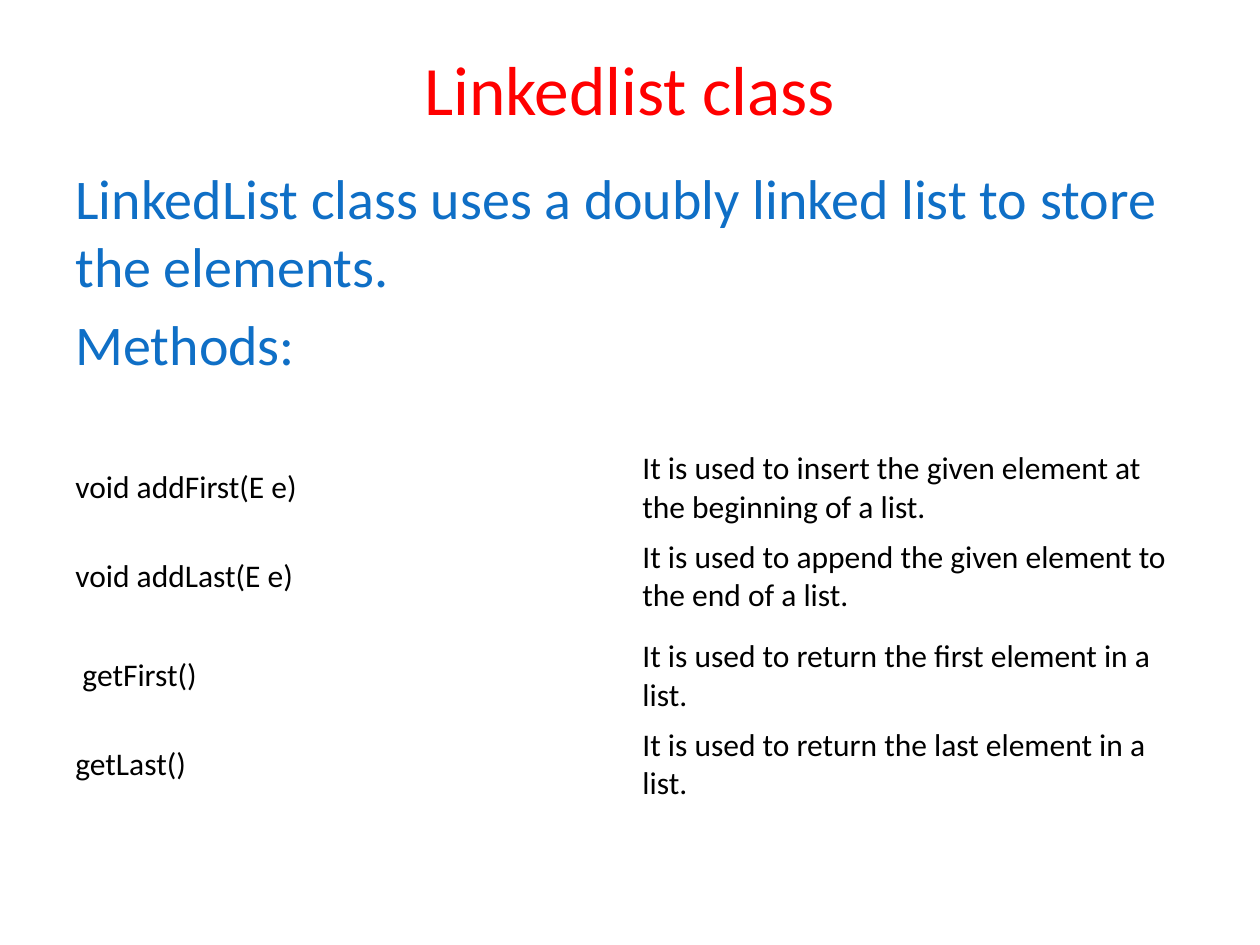
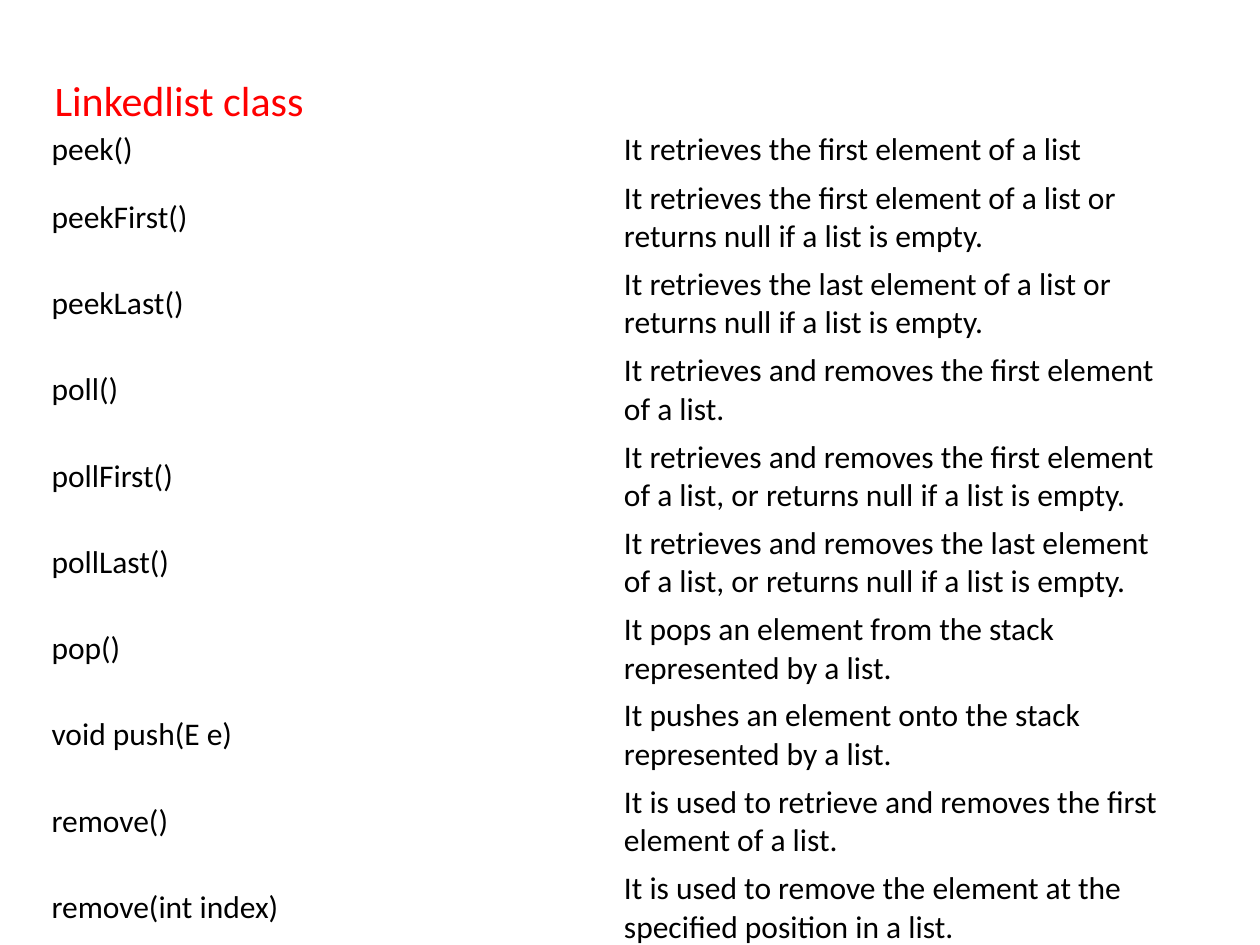
from pptx import Presentation
from pptx.dml.color import RGBColor
from pptx.enum.text import MSO_ANCHOR, PP_ALIGN
from pptx.util import Cm, Pt

FONT = "Calibri"
RED = RGBColor(0xFF, 0x00, 0x00)
BLUE = RGBColor(0x0F, 0x6F, 0xC6)
BLACK = RGBColor(0x00, 0x00, 0x00)
TITLE = "Linkedlist class"

INTRODUCTION = [
    "LinkedList class uses a doubly linked list to store the elements.",
    "Methods:",
]
ADD_METHODS = [
    ("void addFirst(E e)", "It is used to insert the given element at the beginning of a list."),
    ("void addLast(E e)", "It is used to append the given element to the end of a list."),
]
GET_METHODS = [
    (" getFirst()", "It is used to return the first element in a list."),
    ("getLast()", "It is used to return the last element in a list."),
]
QUEUE_METHODS = [
    ("peek()", "It retrieves the first element of a list"),
    ("peekFirst()", "It retrieves the first element of a list or returns null if a list is empty."),
    ("peekLast()", "It retrieves the last element of a list or returns null if a list is empty."),
    ("poll()", "It retrieves and removes the first element of a list."),
    ("pollFirst()", "It retrieves and removes the first element of a list, or returns null if a list is empty."),
    ("pollLast()", "It retrieves and removes the last element of a list, or returns null if a list is empty."),
    ("pop()", "It pops an element from the stack represented by a list."),
    ("void push(E e)", "It pushes an element onto the stack represented by a list."),
    ("remove()", "It is used to retrieve and removes the first element of a list."),
    ("remove(int index)", "It is used to remove the element at the specified position in a list."),
]


def style_paragraph(para, size, color):
    for span in para.runs:
        span.font.name = FONT
        span.font.size = Pt(size)
        span.font.color.rgb = color


def add_text(page, lines, left, top, width, height, size, color,
             align=PP_ALIGN.LEFT, anchor=MSO_ANCHOR.TOP, space_before=0):
    box = page.shapes.add_textbox(Cm(left), Cm(top), Cm(width), Cm(height))
    frame = box.text_frame
    frame.word_wrap = True
    frame.vertical_anchor = anchor
    frame.text = "\n".join(lines)
    for para in frame.paragraphs:
        para.alignment = align
        para.space_before = Pt(space_before)
        style_paragraph(para, size, color)


def add_method_table(page, methods, left, top, column_width, row_heights, margin_x, margin_y):
    frame = page.shapes.add_table(len(methods), 2, Cm(left), Cm(top),
                                  Cm(2 * column_width), Cm(sum(row_heights)))
    table = frame.table
    table.first_row = False
    table.horz_banding = False
    for column in table.columns:
        column.width = Cm(column_width)
    for row, height, texts in zip(table.rows, row_heights, methods):
        row.height = Cm(height)
        for cell, text in zip(row.cells, texts):
            cell.fill.background()
            cell.vertical_anchor = MSO_ANCHOR.MIDDLE
            cell.margin_left = cell.margin_right = Cm(margin_x)
            cell.margin_top = cell.margin_bottom = Cm(margin_y)
            cell.text_frame.text = text
            style_paragraph(cell.text_frame.paragraphs[0], 18, BLACK)


def add_overview_page(deck):
    page = deck.slides.add_slide(deck.slide_layouts[6])
    add_text(page, [TITLE], 1.27, 0.76, 22.86, 2.01, 39.6, RED,
             PP_ALIGN.CENTER, MSO_ANCHOR.MIDDLE)
    add_text(page, INTRODUCTION, 1.27, 3.18, 22.86, 13.84, 32, BLUE, space_before=6.4)
    for methods, top in ((ADD_METHODS, 8.94), (GET_METHODS, 12.73)):
        add_method_table(page, methods, 1.27, top, 11.43, [1.78] * 2, 0.25, 0.13)


def add_queue_page(deck):
    page = deck.slides.add_slide(deck.slide_layouts[6])
    row_heights = [0.97] + [1.74] * (len(QUEUE_METHODS) - 1)
    add_method_table(page, QUEUE_METHODS, 0.85, 2.54, 11.54, row_heights, 0.19, 0.1)
    add_text(page, [TITLE], 0.85, 1.37, 12.73, 1.27, 24, RED)


def main():
    deck = Presentation()
    deck.slide_width = Cm(25.4)
    deck.slide_height = Cm(19.05)
    add_overview_page(deck)
    add_queue_page(deck)
    deck.save("out.pptx")


if __name__ == "__main__":
    main()
